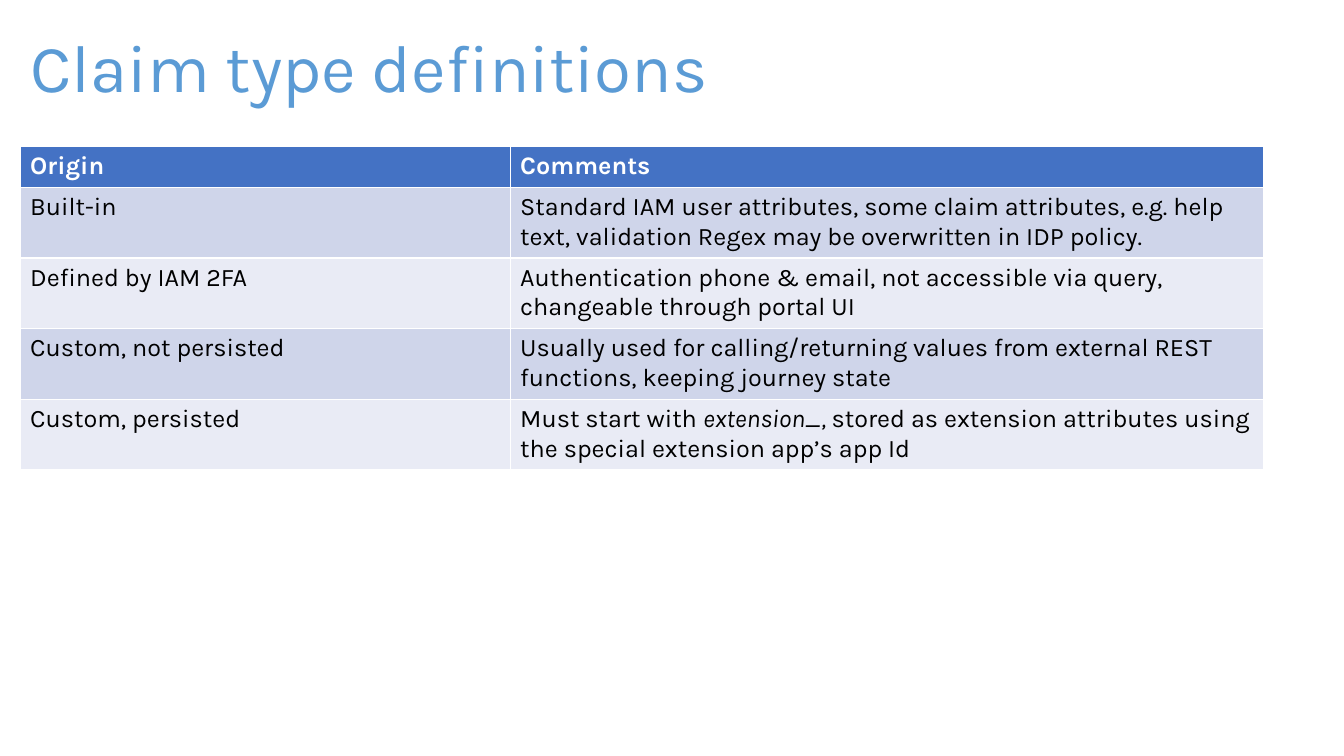
"""Build the slide on claim type definitions."""
from pptx import Presentation
from pptx.dml.color import RGBColor
from pptx.enum.text import MSO_ANCHOR
from pptx.util import Pt

FONT = "Karla"
SKY = RGBColor(0x5B, 0x9B, 0xD5)
BLUE = RGBColor(0x44, 0x72, 0xC4)
BANDS = [RGBColor(0xE9, 0xEB, 0xF5), RGBColor(0xCF, 0xD5, 0xEA)]
WHITE = RGBColor(0xFF, 0xFF, 0xFF)
BLACK = RGBColor(0, 0, 0)

ROWS = [
    ("Origin", ["Comments"]),
    ("Built-in", ["Standard IAM user attributes, some claim attributes, e.g. help "
                  "text, validation Regex may be overwritten in IDP policy."]),
    ("Defined by IAM 2FA", ["Authentication phone & email, not accessible via query, "
                            "changeable through portal UI"]),
    ("Custom, not persisted", ["Usually used for calling/returning values from external "
                               "REST functions, keeping journey state"]),
    ("Custom, persisted", ["Must start with ", "extension_, ",
                           "stored as extension attributes using the special "
                           "extension app’s app Id"]),
]


def style(para, size, color, bold=False):
    para.font.name = FONT
    para.font.size = Pt(size)
    para.font.color.rgb = color
    para.font.bold = bold


deck = Presentation()
deck.slide_width, deck.slide_height = Pt(960), Pt(540)
slide = deck.slides.add_slide(deck.slide_layouts[6])

title = slide.shapes.add_textbox(Pt(14.4), Pt(14.4), Pt(935), Pt(72)).text_frame
title.word_wrap = True
title.vertical_anchor = MSO_ANCHOR.MIDDLE
head = title.paragraphs[0]
head.text = "Claim type definitions"
head.line_spacing = 0.9
style(head, 48, SKY)

table = slide.shapes.add_table(len(ROWS), 2, Pt(14.4), Pt(104.7), Pt(888), Pt(226)).table
table.columns[0].width = Pt(350)
table.columns[1].width = Pt(538)

for row, (origin, notes) in enumerate(ROWS):
    top = row == 0
    table.rows[row].height = Pt(29.2 if top else 49.2)
    for col, parts in enumerate([[origin], notes]):
        cell = table.cell(row, col)
        cell.fill.solid()
        cell.fill.fore_color.rgb = BLUE if top else BANDS[row % 2]
        para = cell.text_frame.paragraphs[0]
        style(para, 18, WHITE if top else BLACK, top)
        for index, part in enumerate(parts):
            run = para.add_run()
            run.text = part
            if index == 1:
                run.font.italic = True

deck.save("out.pptx")
